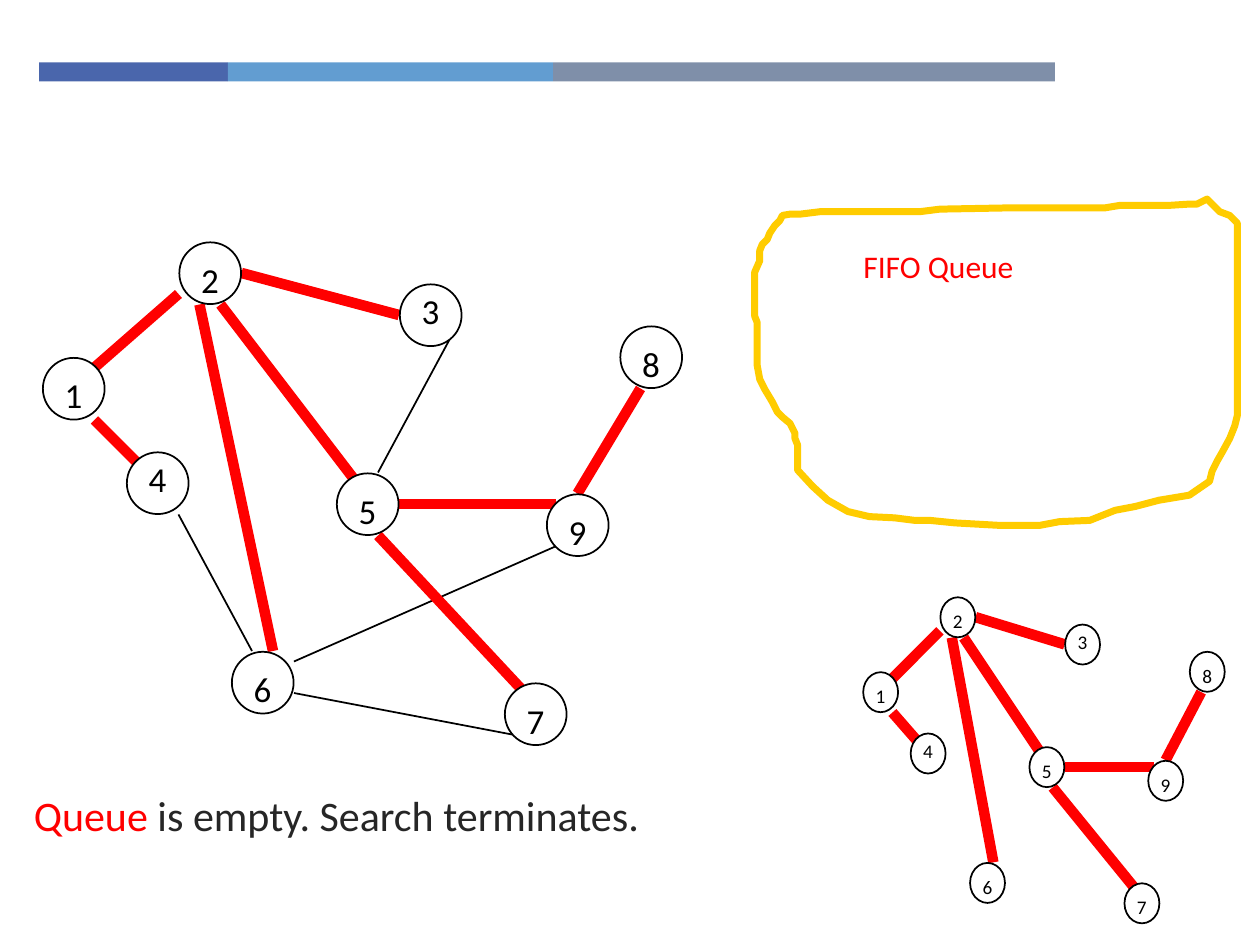
from dataclasses import dataclass

from lxml.etree import SubElement
from pptx import Presentation
from pptx.dml.color import RGBColor
from pptx.enum.shapes import MSO_CONNECTOR as Connector, MSO_SHAPE as Shape
from pptx.enum.text import MSO_ANCHOR as Anchor, PP_ALIGN as Align
from pptx.oxml.ns import qn
from pptx.util import Pt


@dataclass(frozen=True)
class Theme:
    """Colours, font and type sizes of the deck."""
    font: str = "Calibri"
    bars: tuple = ("4A66AC", "629DD1", "7F8FA9")
    paper: str = "FFFFFF"
    ink: str = "000000"
    body: str = "262626"
    accent: str = "FF0000"
    outline: str = "FFCC00"
    message_size: float = 24
    queue_size: float = 18
    node_size: float = 20
    tree_node_size: float = 11


THEME = Theme()
BAR_WIDTHS = (108, 186, 287)
COLUMNS, ROWS, CELL = 61, 48, 6
NODES = {
    "1": (0, 11), "2": (13, 0), "3": (34, 4), "4": (8, 20), "5": (28, 22),
    "6": (18, 39), "7": (44, 42), "8": (55, 8), "9": (48, 24),
}
RAISED_LABELS = ("3", "4")
TREE_EDGES = (
    (13, 5, 5, 12), (17, 6, 30, 23), (5, 17, 9, 21), (32, 28, 46, 43),
    (57, 14, 51, 24), (34, 25, 49, 25), (19, 3, 34, 7), (15, 6, 22, 39),
)
OTHER_EDGES = (
    (13, 26, 20, 39), (24, 43, 45, 47), (39, 9, 32, 22), (24, 40, 49, 29),
)
OUTLINE_SIZE = (383, 259)
OUTLINE = (
    (359, 0), (351, 4), (345, 4), (329, 5), (290, 5), (278, 7), (203, 7),
    (147, 8), (131, 10), (52, 10), (36, 12), (28, 12), (22, 13), (20, 17),
    (16, 21), (12, 27), (10, 32), (6, 36), (4, 41), (4, 49), (0, 58),
    (0, 93), (2, 98), (2, 132), (4, 143), (8, 151), (14, 161), (18, 169),
    (22, 173), (28, 178), (32, 186), (32, 190), (34, 195), (34, 215),
    (46, 228), (58, 239), (74, 248), (91, 252), (111, 253), (127, 255),
    (139, 255), (159, 257), (195, 259), (226, 259), (242, 256), (266, 255),
    (286, 247), (302, 244), (321, 239), (333, 237), (345, 235), (361, 224),
    (363, 216), (367, 208), (371, 201), (377, 190), (381, 180), (383, 172),
    (383, 19), (377, 13), (369, 10),
)


def set_format(target, values):
    """Set each attribute of target from a dict."""
    for name, value in values.items():
        setattr(target, name, value)


def points(*lengths):
    """Turn numbers into point lengths."""
    return [Pt(length) for length in lengths]


def style_line(line, color, width):
    """Give a line its colour and width."""
    line.color.rgb = RGBColor.from_string(color)
    line.width = Pt(width)


def add_text(page, box, spans, size, align=Align.LEFT, side=7.2):
    """Place one paragraph of (text, colour) spans in the box."""
    frame = page.shapes.add_textbox(*points(*box)).text_frame
    set_format(frame, {
        "word_wrap": True, "vertical_anchor": Anchor.TOP,
        "margin_left": Pt(side), "margin_right": Pt(side),
        "margin_top": Pt(3.6), "margin_bottom": Pt(3.6),
    })
    para = frame.paragraphs[0]
    para.alignment = align
    for text, color in spans:
        span = para.add_run()
        span.text = text
        set_format(span.font, {"name": THEME.font, "size": Pt(size)})
        span.font.color.rgb = RGBColor.from_string(color)


def add_bars(page, box):
    """Lay the coloured bars end to end from the left of the box."""
    left, top, width, height = box
    for share, color in zip(BAR_WIDTHS, THEME.bars):
        bar_width = width * share / sum(BAR_WIDTHS)
        bar = page.shapes.add_shape(
            Shape.RECTANGLE, *points(left, top, bar_width, height))
        bar.shadow.inherit = False
        bar.fill.solid()
        bar.fill.fore_color.rgb = RGBColor.from_string(color)
        bar.line.fill.background()
        left += bar_width


def add_queue(page, box):
    """Draw the hand-drawn queue outline and its heading."""
    left, top, width, height = box
    scale = (Pt(width) / OUTLINE_SIZE[0], Pt(height) / OUTLINE_SIZE[1])
    builder = page.shapes.build_freeform(*OUTLINE[0], scale=scale)
    builder.add_line_segments(OUTLINE[1:], close=True)
    outline = builder.convert_to_shape(*points(left, top))
    outline.shadow.inherit = False
    outline.fill.background()
    style_line(outline.line, THEME.outline, 4)
    add_text(page, (left + 55, top + 24, 222, 62),
             [("FIFO Queue", THEME.accent)], THEME.queue_size)


def add_edge(page, ends, color, width):
    """Draw one straight edge between two points."""
    edge = page.shapes.add_connector(Connector.STRAIGHT, *points(*ends))
    style_line(edge.line, color, width)
    SubElement(edge._element.spPr, qn("a:effectLst"))


def add_graph(page, box, size, other_edges=()):
    """Fit the graph to the box, with tree edges in the accent colour."""
    left, top, width, height = box
    step_x, step_y = width / COLUMNS, height / ROWS

    def place(column, row):
        """Give the position of a grid point."""
        return left + column * step_x, top + row * step_y

    edge_styles = ((other_edges, THEME.ink, 1), (TREE_EDGES, THEME.accent, 6))
    for edges, color, weight in edge_styles:
        for edge in edges:
            add_edge(page, place(*edge[:2]) + place(*edge[2:]), color, weight)
    for name, (column, row) in NODES.items():
        corner = place(column + 0.08, row + 0.08)
        node = page.shapes.add_shape(
            Shape.OVAL, *points(*corner, 5.88 * step_x, 5.88 * step_y))
        node.shadow.inherit = False
        node.fill.solid()
        node.fill.fore_color.rgb = RGBColor.from_string(THEME.paper)
        style_line(node.line, THEME.ink, 1)
        drop = 0 if name in RAISED_LABELS else 1
        label_box = (*place(column + 1, row + drop), 4 * step_x, 5.2 * step_y)
        add_text(page, label_box, [(name, THEME.ink)], size, Align.CENTER, 0)


def main():
    """Build the slide and save it."""
    deck = Presentation()
    set_format(deck, {"slide_width": Pt(720), "slide_height": Pt(540)})
    page = deck.slides.add_slide(deck.slide_layouts[6])
    add_bars(page, (22.3, 35.7, 580.5, 10.8))
    add_text(page, (12.24, 447.84, 707.76, 56),
             [("Queue", THEME.accent),
              (" is empty. Search terminates.", THEME.body)],
             THEME.message_size)
    add_queue(page, (431.28, 113.76, 275.76, 186.48))
    add_graph(page, (24, 138, COLUMNS * CELL, ROWS * CELL),
              THEME.node_size, OTHER_EDGES)
    add_graph(page, (493, 341, 207, 186.8), THEME.tree_node_size)
    deck.save("out.pptx")


if __name__ == "__main__":
    main()
